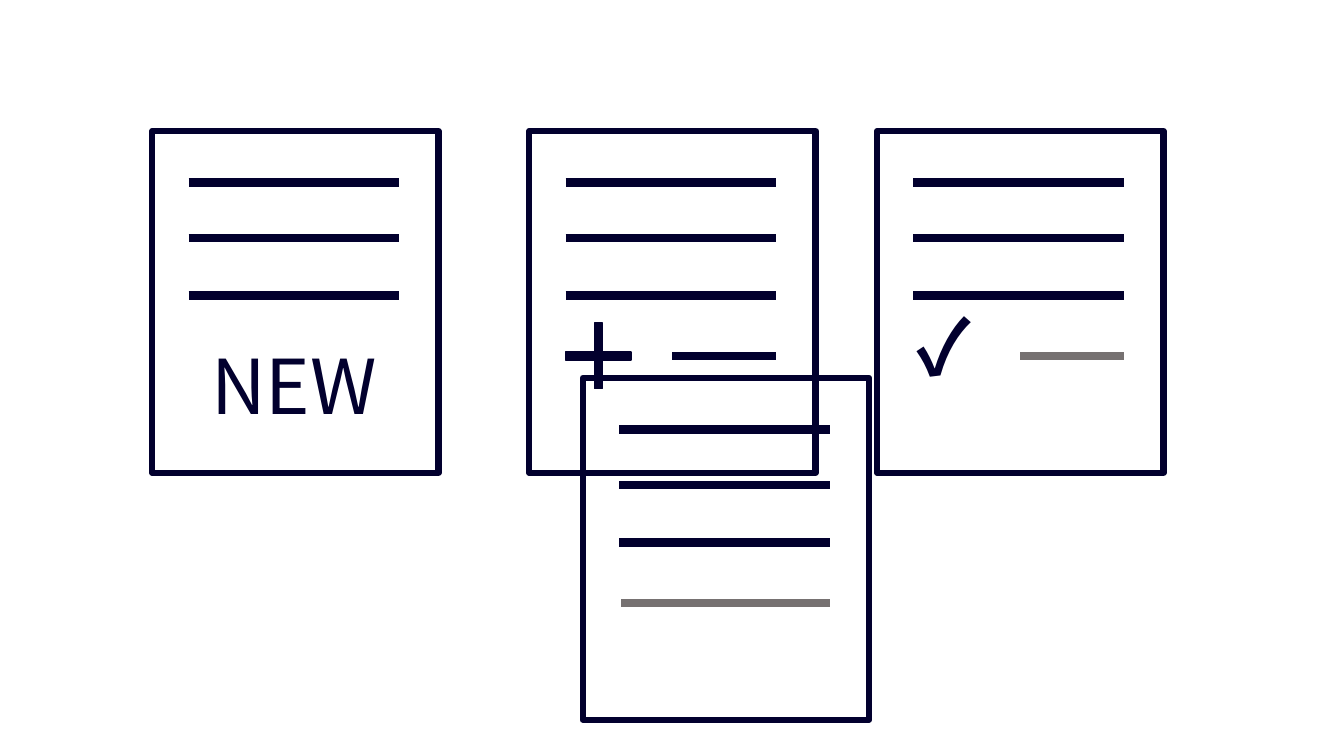
from dataclasses import dataclass
from typing import Optional

from lxml import etree
from pptx import Presentation
from pptx import util as u
from pptx.dml.color import RGBColor
from pptx.enum import shapes, text
from pptx.oxml.ns import qn
from pptx.shapes.group import GroupShape

NAVY, GREY = "02002E", "767171"
FONT = "Noto Sans CJK JP"
PAGE_WIDTH, PAGE_HEIGHT = 2.84, 3.39
RULE_LEFT, RULE_RIGHT = 0.36, 2.45
RULE_TOPS = (0.51, 1.06, 1.63)
LAST_RULE_TOP = 2.23


@dataclass
class Label:
    """Large text on a page, placed relative to the page corner."""
    wording: str
    left: float
    top: float
    width: float
    bold: bool = False


@dataclass
class Page:
    """A document icon; last_left is where its fourth rule starts."""
    left: float
    top: float
    last_left: Optional[float] = None
    last_color: str = NAVY
    plus: bool = False
    label: Optional[Label] = None


PAGES = [
    Page(1.51, 1.3, label=Label("NEW", 0.29, 2.01, 2.23)),
    Page(5.25, 1.3, last_left=1.42, plus=True),
    Page(8.7, 1.3, last_left=1.42, last_color=GREY,
         label=Label("✓", 0.26, 1.63, 0.81, bold=True)),
    Page(5.78, 3.75, last_left=0.38, last_color=GREY),
]


def rgb(color: str) -> RGBColor:
    """Turn a hex string into a colour."""
    return RGBColor.from_string(color)


def add_rule(group: GroupShape, left: float, right: float, top: float, color: str = NAVY) -> None:
    """Draw one thick horizontal text rule."""
    rule = group.shapes.add_connector(
        shapes.MSO_CONNECTOR.STRAIGHT,
        u.Inches(left), u.Inches(top), u.Inches(right), u.Inches(top))
    rule.line.color.rgb = rgb(color)
    rule.line.width = u.Pt(6)
    etree.SubElement(rule._element.spPr, qn("a:effectLst"))


def add_outline(group: GroupShape, page: Page) -> None:
    """Draw the unfilled page border."""
    outline = group.shapes.add_shape(
        shapes.MSO_SHAPE.RECTANGLE, u.Inches(page.left), u.Inches(page.top),
        u.Inches(PAGE_WIDTH), u.Inches(PAGE_HEIGHT))
    outline.shadow.inherit = False
    outline.fill.background()
    outline.line.color.rgb = rgb(NAVY)
    outline.line.width = u.Pt(4.5)


def add_plus(group: GroupShape, page: Page) -> None:
    """Draw the plus sign at the start of the fourth rule."""
    size = 0.65
    plus = group.shapes.add_shape(
        shapes.MSO_SHAPE.CROSS, u.Inches(page.left + RULE_LEFT),
        u.Inches(page.top + LAST_RULE_TOP - size / 2), u.Inches(size), u.Inches(size))
    plus.adjustments[0] = 0.439
    plus.shadow.inherit = False
    plus.fill.solid()
    plus.fill.fore_color.rgb = rgb(NAVY)
    plus.line.color.rgb = rgb(NAVY)
    plus.line.width = u.Pt(1)


def add_label(group: GroupShape, page: Page, label: Label) -> None:
    """Write the centred label on a page."""
    box = group.shapes.add_textbox(
        u.Inches(page.left + label.left), u.Inches(page.top + label.top),
        u.Inches(label.width), u.Inches(1.01))
    frame = box.text_frame
    frame.word_wrap = True
    frame.auto_size = text.MSO_AUTO_SIZE.SHAPE_TO_FIT_TEXT
    frame.text = label.wording
    paragraph = frame.paragraphs[0]
    paragraph.alignment = text.PP_ALIGN.CENTER
    font = paragraph.runs[0].font
    font.size = u.Pt(54)
    font.bold = label.bold
    font.color.rgb = rgb(NAVY)
    font.name = FONT
    etree.SubElement(font._element, qn("a:ea"), typeface=FONT)


def add_page(slide, page: Page) -> None:
    """Draw one document icon as a group."""
    group = slide.shapes.add_group_shape()
    add_outline(group, page)
    right = page.left + RULE_RIGHT
    for top in RULE_TOPS:
        add_rule(group, page.left + RULE_LEFT, right, page.top + top)
    if page.last_left is not None:
        add_rule(group, page.left + page.last_left, right,
                 page.top + LAST_RULE_TOP, page.last_color)
    if page.plus:
        add_plus(group, page)
    if page.label:
        add_label(group, page, page.label)


presentation = Presentation()
presentation.slide_width = u.Inches(13.33)
presentation.slide_height = u.Inches(7.5)
slide = presentation.slides.add_slide(presentation.slide_layouts[6])
for page in PAGES:
    add_page(slide, page)
presentation.save("out.pptx")
